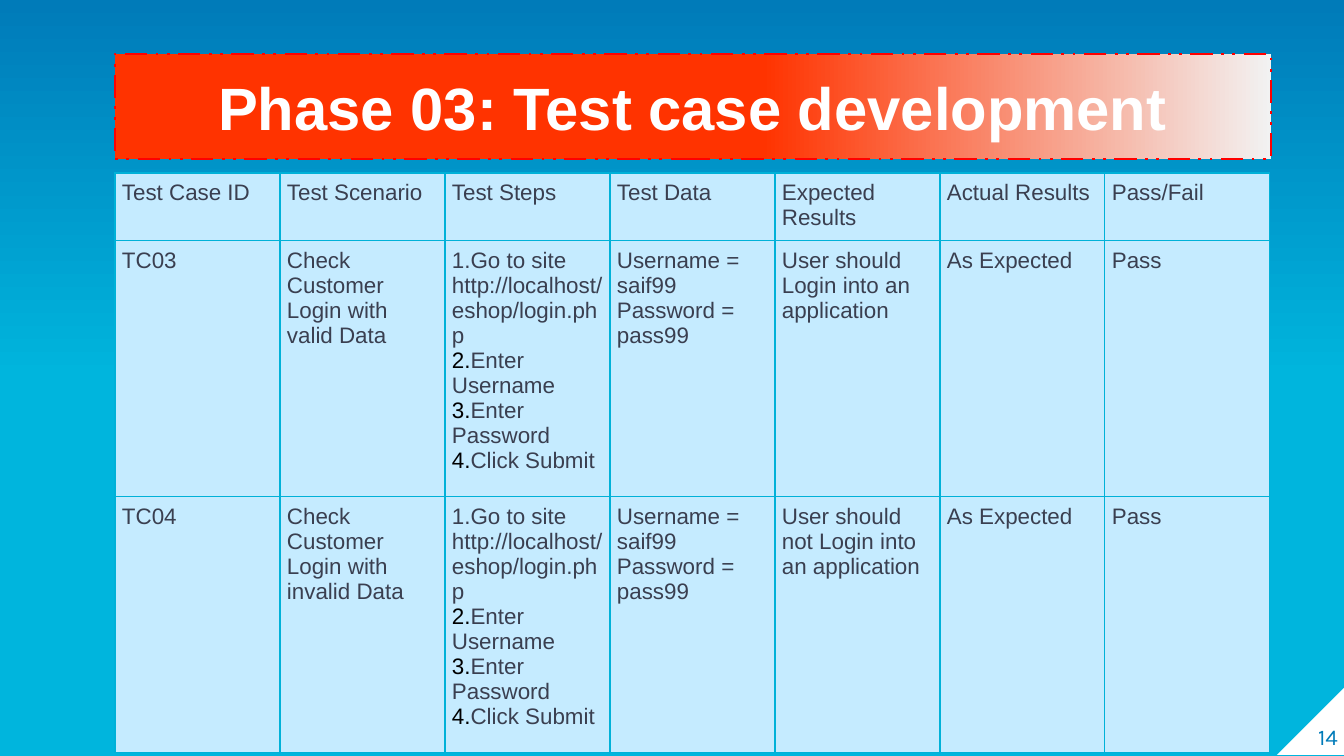
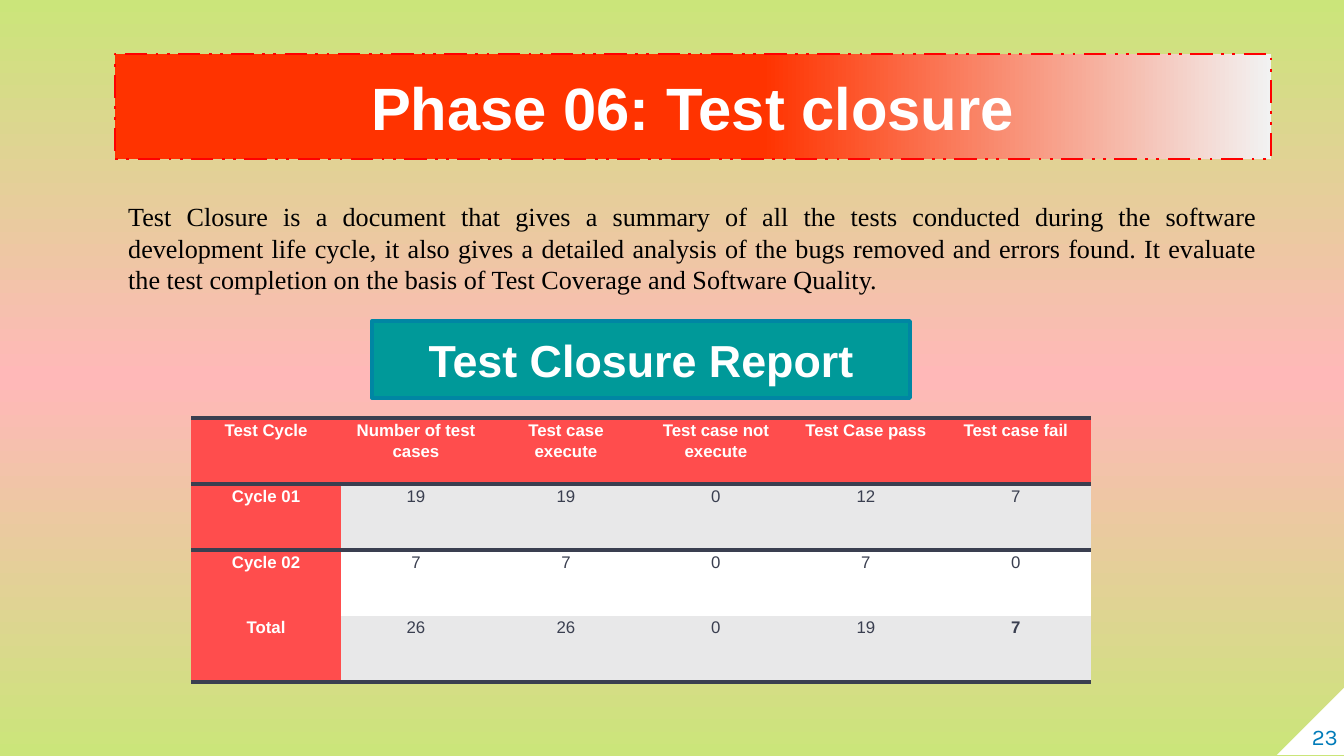
"""Build two software testing slides: a test case table and a test closure report."""
from copy import deepcopy

from lxml import etree
from pptx import Presentation
from pptx import util as u
from pptx.dml.color import RGBColor
from pptx.enum import dml, shapes, text
from pptx.oxml.ns import qn

EMU_PER_PX = 914400 / 134.4
SLIDE_SIZE = (1344, 756)
NO_TABLE_STYLE = "{2D5ABB26-0587-4C30-8999-92F81FD0307C}"

WHITE, BLACK, INK, RED, CORAL = "FFFFFF", "000000", "3A3F50", "FF0000", "FF4D4D"
PALE_BLUE, GRID_BLUE, PAGE_BLUE, GREY = "C5EBFF", "00B1D8", "007BB9", "E8E8E9"
TEAL, TEAL_EDGE = "009999", "0086A3"
BLUE_SKY = [(0, "00B5DD"), (50, "00B5DD"), (100, PAGE_BLUE)]
LIME_PINK = [(0, "CBE57A"), (50, "FFB8B8"), (100, "CBE57A")]
BANNER = [(56, "FF3300"), (100, "F2F2F2")]

TITLE_BOX = (115, 54, 1156, 105)
CORNER_BOX = (1277, 687, 68, 68)
NUMBER_BOX = (1271, 681, 67, 69)
CASES_BOX = (115, 173, 1155, 563)
SUMMARY_BOX = (115, 194, 1156, 109)
REPORT_BOX = (372, 321, 538, 77)
CYCLES_BOX = (191, 418, 900, 264)

LOGIN_DATA = "Username = saif99 Password = pass99"
LOGIN_STEPS = ["Enter Username", "Enter Password", "Click Submit"]
TEST_CASES = [
    ["Test Case ID", "Test Scenario", "Test Steps", "Test Data", "Expected Results",
     "Actual Results", "Pass/Fail"],
    ["TC03", "Check Customer Login with valid Data",
     ["Go to site http://localhost/eshop/login.php", *LOGIN_STEPS],
     LOGIN_DATA, "User should Login into an application", "As Expected", "Pass"],
    ["TC04", "Check Customer Login with invalid Data",
     ["Go to site http://localhost/eshop/login.php", *LOGIN_STEPS],
     LOGIN_DATA, "User should not Login into an application", "As Expected", "Pass"],
]
CASE_ROW_HEIGHTS = [63, 250, 250]

SUMMARY = (
    "Test Closure is a document that gives a summary of all the tests conducted during "
    "the software development life cycle, it also gives a detailed analysis of the bugs "
    "removed and errors found. It evaluate the test completion on the basis of Test "
    "Coverage and Software Quality."
)
CYCLES = [
    ["Test Cycle", "Number of test cases", "Test case execute", "Test case not execute",
     "Test Case pass", "Test case fail"],
    ["Cycle 01", "19", "19", "0", "12", "7"],
    ["Cycle 02", "7", "7", "0", "7", "0"],
    ["Total", "26", "26", "0", "19", "7"],
]


def px(length):
    return u.Emu(round(length * EMU_PER_PX))


def place(box):
    return [px(length) for length in box]


def rgb(color):
    return RGBColor.from_string(color)


def paint(fill, color):
    fill.solid()
    fill.fore_color.rgb = rgb(color)


def paint_gradient(fill, element, stops, angle):
    fill.gradient()
    fill.gradient_angle = angle
    stop_list = element.find(".//" + qn("a:gsLst"))
    while len(stop_list) < len(stops):
        stop_list.append(deepcopy(stop_list[0]))
    for stop, (position, color) in zip(fill.gradient_stops, stops):
        stop.position = position / 100
        stop.color.rgb = rgb(color)


def outline(shape, color, width):
    shape.line.color.rgb = rgb(color)
    shape.line.width = u.Pt(width)


def set_margins(target, horizontal, vertical):
    target.margin_left = target.margin_right = px(horizontal)
    target.margin_top = target.margin_bottom = px(vertical)


def write(frame, lines, size, color, bold=False, name="Arial", align=text.PP_ALIGN.LEFT):
    frame.word_wrap = True
    frame.text = "\n".join(lines)
    for paragraph in frame.paragraphs:
        paragraph.alignment = align
        paragraph.font.name = name
        paragraph.font.size = u.Pt(size)
        paragraph.font.bold = bold
        paragraph.font.color.rgb = rgb(color)


def number_paragraphs(frame):
    for index, paragraph in enumerate(frame.paragraphs):
        properties = paragraph._p.get_or_add_pPr()
        properties.set("marL", "0")
        properties.set("indent", "0")
        numbering = []
        if index:
            bullet_color = etree.Element(qn("a:buClr"))
            etree.SubElement(bullet_color, qn("a:srgbClr"), val=BLACK)
            numbering.append(bullet_color)
        numbering.append(etree.Element(qn("a:buAutoNum"), type="arabicPeriod"))
        font_position = properties.index(properties.find(qn("a:defRPr")))
        properties[font_position:font_position] = numbering


def border(cell, sides, color, width):
    properties = cell._tc.get_or_add_tcPr()
    for position, side in enumerate(sides):
        line = etree.Element(qn("a:ln" + side), w=str(u.Pt(width)))
        fill = etree.SubElement(line, qn("a:solidFill"))
        etree.SubElement(fill, qn("a:srgbClr"), val=color)
        properties.insert(position, line)


def add_table(slide, box, rows, heights):
    frame = slide.shapes.add_table(len(rows), len(rows[0]), *place(box))
    table = frame.table
    table.horz_banding = False
    table._tbl.tblPr.find(qn("a:tableStyleId")).text = NO_TABLE_STYLE
    for column in table.columns:
        column.width = px(box[2] / len(rows[0]))
    for row, height in zip(table.rows, heights):
        row.height = px(height)
    return table


def add_phase_slide(presentation, title, number, background):
    slide = presentation.slides.add_slide(presentation.slide_layouts[5])
    paint_gradient(slide.background.fill, slide.element, background, 90)

    banner = slide.shapes.title
    banner.left, banner.top, banner.width, banner.height = place(TITLE_BOX)
    paint_gradient(banner.fill, banner.element, BANNER, 0)
    outline(banner, RED, 1.5)
    banner.line.dash_style = dml.MSO_LINE.DASH_DOT_DOT
    write(banner.text_frame, [title], 32, WHITE, True, align=text.PP_ALIGN.CENTER)
    banner.text_frame.auto_size = text.MSO_AUTO_SIZE.NONE
    banner.text_frame.vertical_anchor = text.MSO_ANCHOR.MIDDLE

    corner = slide.shapes.add_shape(shapes.MSO_SHAPE.RIGHT_TRIANGLE, *place(CORNER_BOX))
    corner.element.spPr.find(qn("a:xfrm")).set("flipH", "1")
    corner.shadow.inherit = False
    paint(corner.fill, WHITE)
    corner.line.fill.background()

    frame = slide.shapes.add_textbox(*place(NUMBER_BOX)).text_frame
    set_margins(frame, 0, 0)
    frame.vertical_anchor = text.MSO_ANCHOR.BOTTOM
    write(frame, [str(number)], 12, PAGE_BLUE, name="Karla", align=text.PP_ALIGN.RIGHT)
    return slide


def add_test_cases(slide):
    table = add_table(slide, CASES_BOX, TEST_CASES, CASE_ROW_HEIGHTS)
    for row, values in enumerate(TEST_CASES):
        for column, value in enumerate(values):
            cell = table.cell(row, column)
            set_margins(cell, 7, 7)
            paint(cell.fill, PALE_BLUE)
            border(cell, "LRTB", GRID_BLUE, 0.75)
            has_steps = isinstance(value, list)
            write(cell.text_frame, value if has_steps else [value], 12, INK)
            if has_steps:
                number_paragraphs(cell.text_frame)


def add_closure_report(slide):
    frame = slide.shapes.add_textbox(*place(SUMMARY_BOX)).text_frame
    write(frame, [SUMMARY], 14, BLACK, name="Times New Roman", align=text.PP_ALIGN.JUSTIFY)
    frame.auto_size = text.MSO_AUTO_SIZE.SHAPE_TO_FIT_TEXT

    last_row, last_column = len(CYCLES) - 1, len(CYCLES[0]) - 1
    table = add_table(slide, CYCLES_BOX, CYCLES, [CYCLES_BOX[3] / len(CYCLES)] * len(CYCLES))
    for row, values in enumerate(CYCLES):
        for column, value in enumerate(values):
            cell = table.cell(row, column)
            is_header = row == 0 or column == 0
            is_bold = is_header or (row, column) == (last_row, last_column)
            set_margins(cell, 9, 0)
            paint(cell.fill, CORAL if is_header else GREY if row % 2 else WHITE)
            write(cell.text_frame, [value], 9, WHITE if is_header else INK, is_bold,
                  align=text.PP_ALIGN.CENTER)
            cell.text_frame.paragraphs[0].line_spacing = 1.15
            sides = {0: "TB", 1: "T", last_row: "B"}.get(row, "")
            border(cell, sides, INK, 2)

    report = slide.shapes.add_shape(shapes.MSO_SHAPE.RECTANGLE, *place(REPORT_BOX))
    report.shadow.inherit = False
    paint(report.fill, TEAL)
    outline(report, TEAL_EDGE, 2)
    report.text_frame.vertical_anchor = text.MSO_ANCHOR.MIDDLE
    write(report.text_frame, ["Test Closure Report"], 24, WHITE, True,
          align=text.PP_ALIGN.CENTER)


def main():
    presentation = Presentation()
    presentation.slide_width, presentation.slide_height = place(SLIDE_SIZE)
    add_test_cases(add_phase_slide(
        presentation, "Phase 03: Test case development", 14, BLUE_SKY))
    add_closure_report(add_phase_slide(
        presentation, "Phase 06: Test closure", 23, LIME_PINK))
    presentation.save("out.pptx")


if __name__ == "__main__":
    main()
